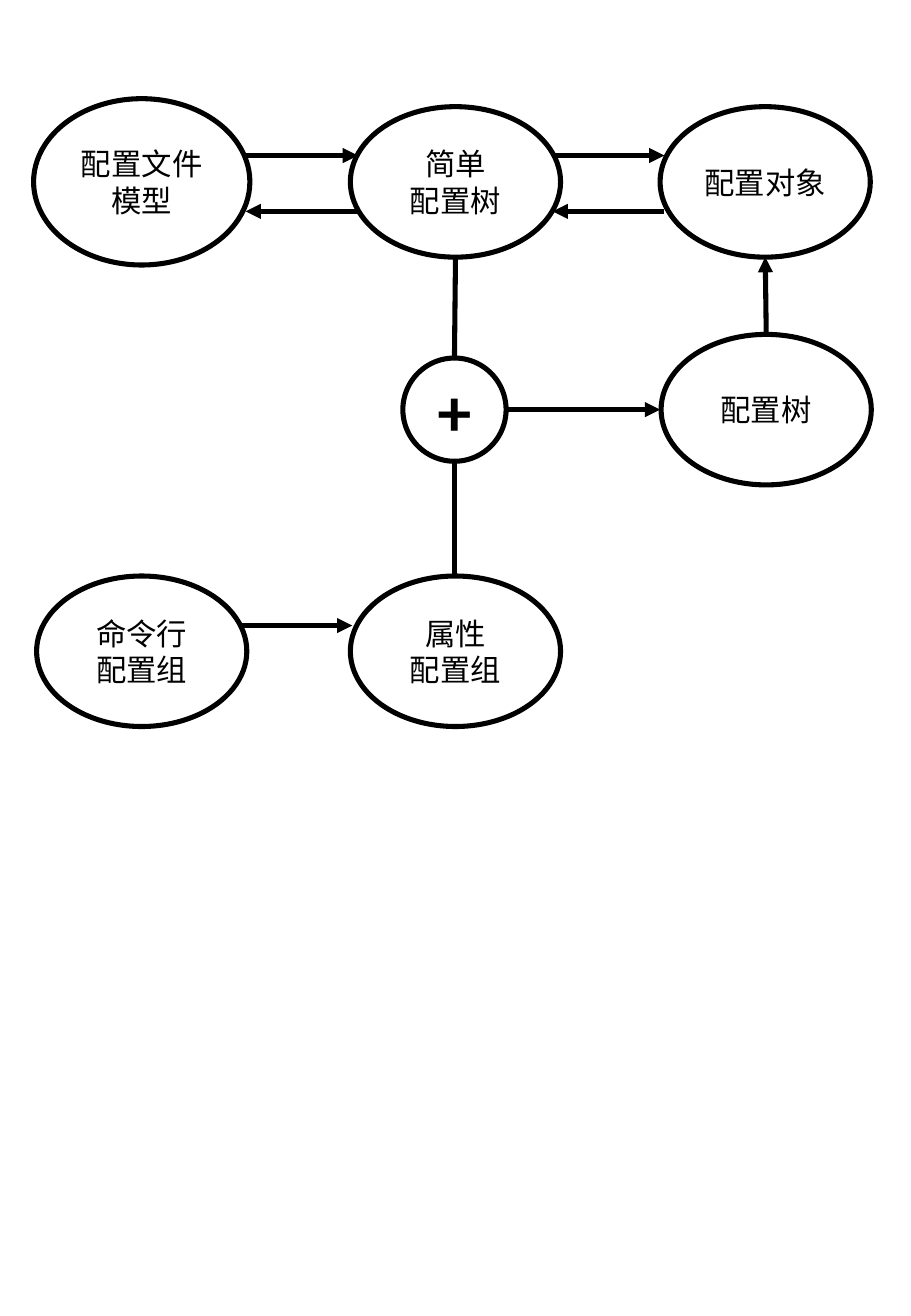
from dataclasses import dataclass

from lxml.etree import SubElement
from pptx import Presentation
from pptx.dml.color import RGBColor
from pptx.enum.shapes import MSO_CONNECTOR, MSO_SHAPE
from pptx.enum.text import MSO_ANCHOR, PP_ALIGN
from pptx.oxml.ns import qn
from pptx.util import Pt


@dataclass(frozen=True)
class Theme:
    ink: RGBColor = RGBColor(0, 0, 0)
    paper: RGBColor = RGBColor(255, 255, 255)
    font: str = "Calibri"
    label_size: int = 18
    plus_size: int = 40
    line_width: int = 3


THEME = Theme()

# Centres of the columns and rows, in points
LEFT, MIDDLE, RIGHT = 84, 270, 453.6
TOP, MERGE, BOTTOM = 107.8, 242.8, 386
NODE_SIZE = (124.6, 89.2)
FILE_MODEL_SIZE = (128.2, 98.6)
PLUS_SIZE = (61.2, 61.2)

# Rows of the two-way arrows
FORWARD, BACK = 92.2, 125.3


def add_node(slide, text, centre, size=NODE_SIZE, font_size=THEME.label_size, bold=False):
    """Draw a labelled ellipse around its centre."""
    (x, y), (width, height) = centre, size
    node = slide.shapes.add_shape(
        MSO_SHAPE.OVAL, Pt(x - width / 2), Pt(y - height / 2), Pt(width), Pt(height))
    node.shadow.inherit = False
    node.fill.solid()
    node.fill.fore_color.rgb = THEME.paper
    node.line.color.rgb = THEME.ink
    node.line.width = Pt(THEME.line_width)

    label = node.text_frame
    label.text = text
    label.vertical_anchor = MSO_ANCHOR.MIDDLE
    for paragraph in label.paragraphs:
        paragraph.alignment = PP_ALIGN.CENTER
        for run in paragraph.runs:
            run.font.name = THEME.font
            run.font.size = Pt(font_size)
            run.font.bold = bold
            run.font.color.rgb = THEME.ink


def add_link(slide, start, end, arrow=True):
    """Draw a straight link, with an arrowhead at its end if wanted."""
    link = slide.shapes.add_connector(
        MSO_CONNECTOR.STRAIGHT, *(Pt(length) for length in (*start, *end)))
    link.line.color.rgb = THEME.ink
    link.line.width = Pt(THEME.line_width)
    if arrow:
        SubElement(link.line._get_or_add_ln(), qn("a:tailEnd"), type="triangle")
    SubElement(link._element.spPr, qn("a:effectLst"))


def main():
    presentation = Presentation()
    presentation.slide_width, presentation.slide_height = Pt(540), Pt(780)
    slide = presentation.slides.add_slide(presentation.slide_layouts[6])

    # Configuration forms
    add_node(slide, "配置文件\n模型", (LEFT, TOP), FILE_MODEL_SIZE)
    for text, centre in (
        ("简单\n配置树", (MIDDLE, TOP)),
        ("配置对象", (RIGHT, TOP)),
        ("配置树", (RIGHT + 0.6, MERGE)),
        ("命令行\n配置组", (LEFT, BOTTOM)),
        ("属性\n配置组", (MIDDLE, BOTTOM)),
    ):
        add_node(slide, text, centre)
    add_node(slide, "+", (MIDDLE - 0.6, MERGE), PLUS_SIZE, THEME.plus_size, bold=True)

    # Two-way conversions along the top row
    for left, right in ((145.6, 212.2), (327.6, 393.8)):
        add_link(slide, (left, FORWARD), (right, FORWARD))
        add_link(slide, (right, BACK), (left, BACK))

    # Command line group to property group
    add_link(slide, (142.4, 370.8), (208.8, 370.8))

    # Merge of the simple tree and the property group
    node_reach, plus_reach = NODE_SIZE[1] / 2, PLUS_SIZE[1] / 2
    add_link(slide, (MIDDLE, TOP + node_reach), (MIDDLE - 0.6, MERGE - plus_reach), arrow=False)
    add_link(slide, (MIDDLE - 0.6, MERGE + plus_reach),
             (MIDDLE - 0.6, BOTTOM - node_reach), arrow=False)

    # Merged tree to configuration object
    add_link(slide, (MIDDLE + plus_reach, MERGE), (RIGHT - NODE_SIZE[0] / 2, MERGE))
    add_link(slide, (RIGHT + 0.6, MERGE - node_reach), (RIGHT, TOP + node_reach))

    presentation.save("out.pptx")


main()
